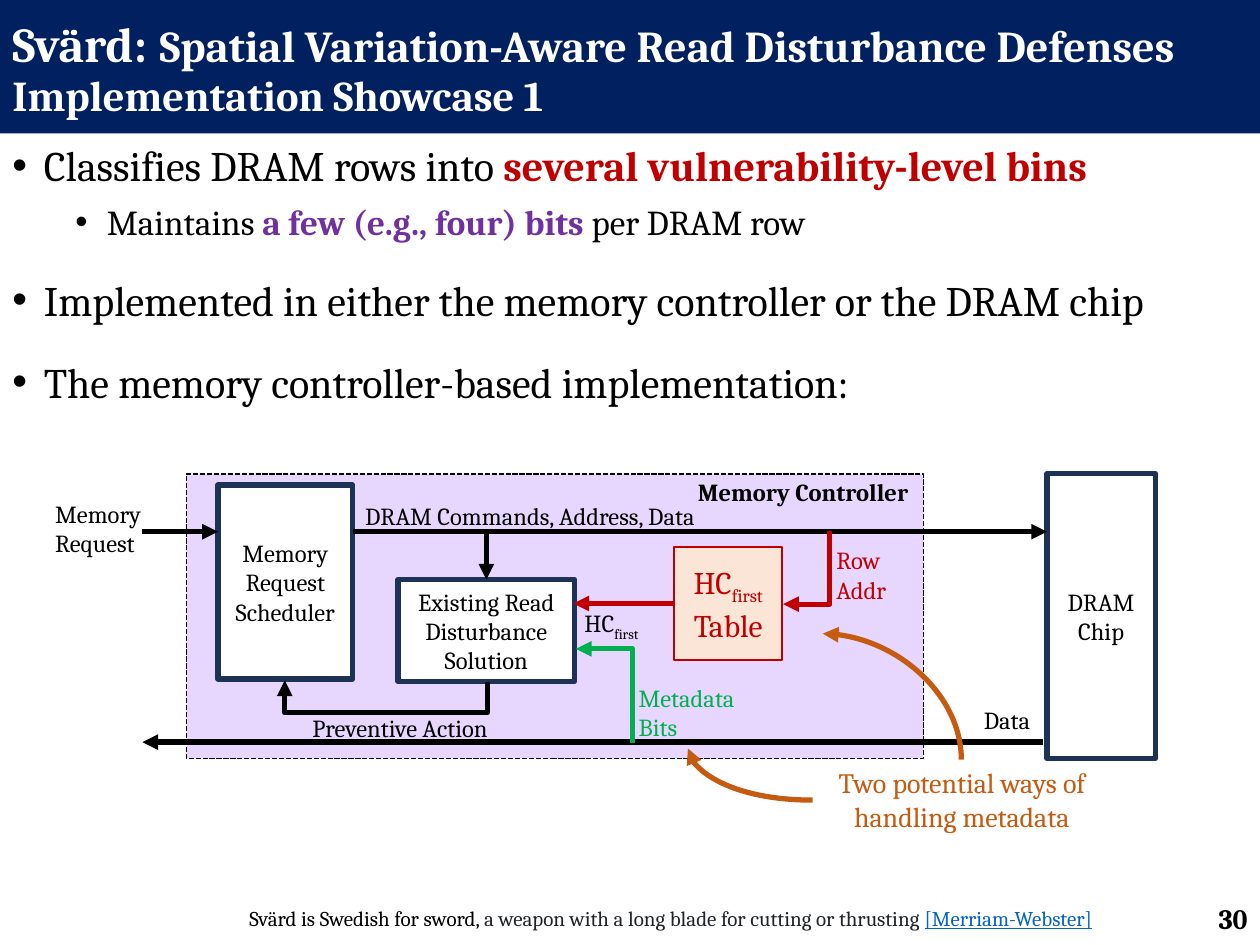
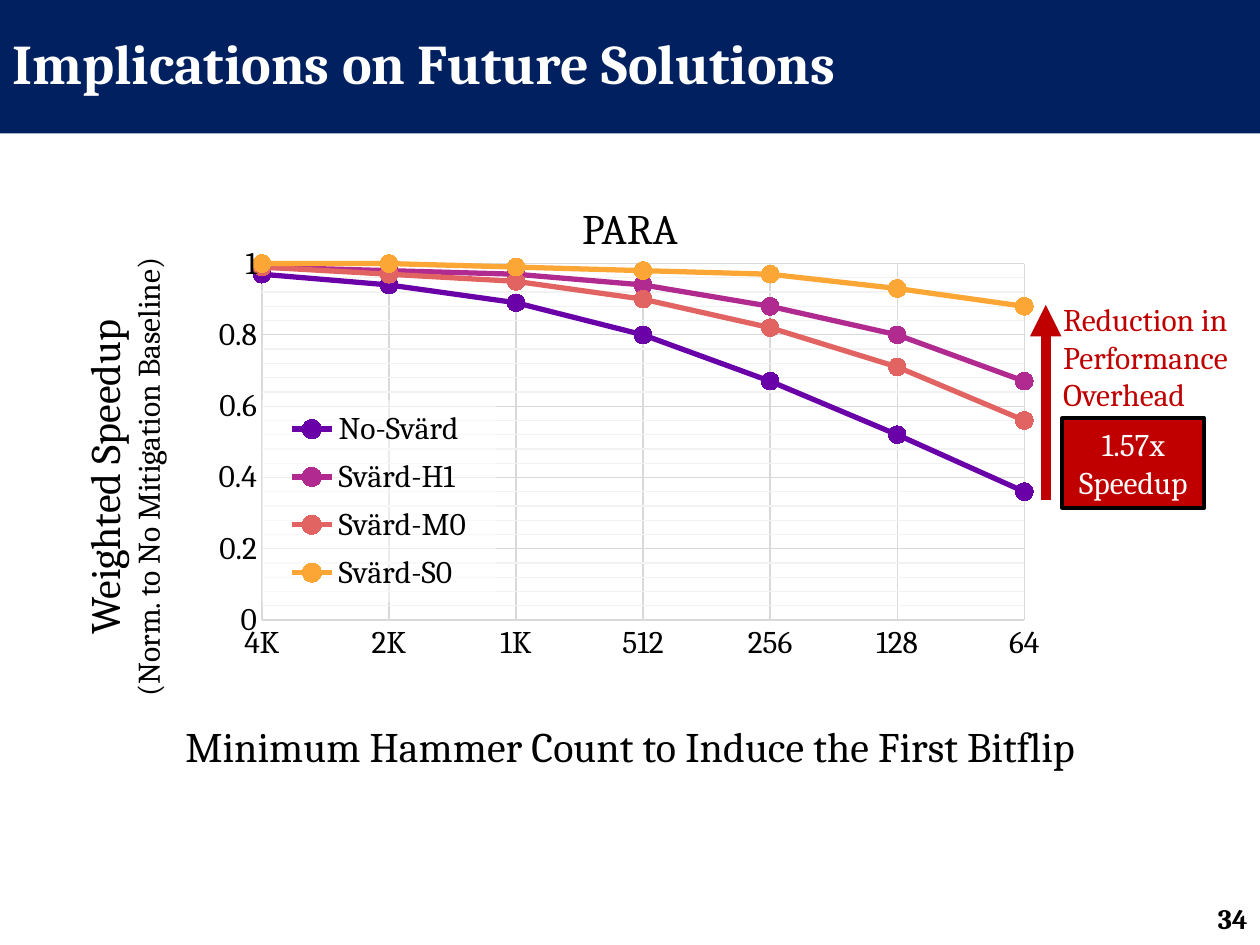
from collections import namedtuple

from lxml.etree import SubElement
from pptx import Presentation
from pptx.chart.data import CategoryChartData
from pptx.dml.color import RGBColor
from pptx.enum.chart import XL_CHART_TYPE as ChartType, XL_LEGEND_POSITION as LegendPosition
from pptx.enum.chart import XL_MARKER_STYLE as MarkerStyle, XL_TICK_MARK as TickMark
from pptx.enum.dml import MSO_LINE_DASH_STYLE as Dash
from pptx.enum.shapes import MSO_CONNECTOR as ConnectorType, MSO_SHAPE as ShapeType
from pptx.enum.text import MSO_ANCHOR as Anchor, MSO_AUTO_SIZE as AutoSize, PP_ALIGN as Align
from pptx.oxml import parse_xml
from pptx.oxml.ns import nsdecls, qn
from pptx.util import Inches, Pt

FONT = "Cambria"
BLACK = RGBColor(0x00, 0x00, 0x00)
WHITE = RGBColor(0xFF, 0xFF, 0xFF)
NAVY = RGBColor(0x00, 0x20, 0x60)
BLOCK_EDGE = RGBColor(0x1E, 0x32, 0x56)
LILAC = RGBColor(0xE7, 0xD7, 0xFF)
PEACH = RGBColor(0xFB, 0xE5, 0xD6)
RED = RGBColor(0xC0, 0x00, 0x00)
PURPLE = RGBColor(0x70, 0x30, 0xA0)
GREEN = RGBColor(0x00, 0xB0, 0x50)
ORANGE = RGBColor(0xC5, 0x5A, 0x11)
INK = RGBColor(0x21, 0x25, 0x29)
LINK = RGBColor(0x05, 0x63, 0xC1)
GRID = RGBColor(0xD9, 0xD9, 0xD9)
MINOR_GRID = RGBColor(0xF2, 0xF2, 0xF2)

Box = namedtuple("Box", "left top width height")
SUBSCRIPT = {"baseline": -25000}

CATEGORIES = ["4K", "2K", "1K", "512", "256", "128", "64"]
SERIES = [
    ("No-Svärd", RGBColor(0x6A, 0x00, 0xA8), [0.97, 0.94, 0.89, 0.8, 0.67, 0.52, 0.36]),
    ("Svärd-H1", RGBColor(0xB1, 0x2A, 0x90), [0.99, 0.98, 0.97, 0.94, 0.88, 0.8, 0.67]),
    ("Svärd-M0", RGBColor(0xE1, 0x64, 0x62), [0.99, 0.97, 0.95, 0.9, 0.82, 0.71, 0.56]),
    ("Svärd-S0", RGBColor(0xFC, 0xA6, 0x36), [1, 1, 0.99, 0.98, 0.97, 0.93, 0.88]),
]


def inside(region, left, top, width, height):
    """Return a box given relative to a region as a box on the slide."""
    return Box(region.left + left, region.top + top, width, height)


def set_font(font, size, color=BLACK, **values):
    """Apply size, colour and further values to a font."""
    for name, value in dict(values, name=FONT, size=Pt(size)).items():
        setattr(font, name, value)
    font.color.rgb = color


def write(frame, lines, size, color=BLACK, styles=(), **values):
    """Fill a text frame; a line is a string or a list of (text, format) runs."""
    for index, line in enumerate(lines):
        paragraph = frame.paragraphs[0] if index == 0 else frame.add_paragraph()
        style = dict(values, **(styles[index] if styles else {}))
        bullet_indent = style.pop("bullet_indent", None)
        if bullet_indent is not None:
            add_bullet(paragraph, bullet_indent)
        for name, value in style.items():
            setattr(paragraph, name, value)
        for text, changes in [(line, {})] if isinstance(line, str) else line:
            run = paragraph.add_run()
            run.text = text
            font = {"size": size, "color": color, **changes}
            baseline = font.pop("baseline", None)
            set_font(run.font, **font)
            if baseline:
                run.font._element.set("baseline", str(baseline))


def add_bullet(paragraph, indent):
    """Give a paragraph a black round bullet with a hanging indent."""
    properties = paragraph._p.get_or_add_pPr()
    properties.set("marL", str(Inches(indent)))
    properties.set("indent", str(-Inches(0.25)))
    color = SubElement(properties, qn("a:buClr"))
    SubElement(color, qn("a:srgbClr")).set("val", str(BLACK))
    SubElement(properties, qn("a:buFont")).set("typeface", "Arial")
    SubElement(properties, qn("a:buChar")).set("char", "•")


def add_text(slide, box, lines, size, wrap=False, anchor=Anchor.TOP, fit=True, **values):
    """Add a text box and return it."""
    shape = slide.shapes.add_textbox(*map(Inches, box))
    frame = shape.text_frame
    frame.auto_size = AutoSize.SHAPE_TO_FIT_TEXT if fit else AutoSize.NONE
    frame.word_wrap = wrap
    frame.vertical_anchor = anchor
    write(frame, lines, size, **values)
    return shape


def add_block(slide, box, fill, edge=None, edge_width=3, lines=(), size=14, **values):
    """Add a filled rectangle with an optional edge and middle-anchored text."""
    shape = slide.shapes.add_shape(ShapeType.RECTANGLE, *map(Inches, box))
    shape.shadow.inherit = False
    shape.fill.solid()
    shape.fill.fore_color.rgb = fill
    if edge is None:
        shape.line.fill.background()
    else:
        shape.line.color.rgb = edge
        shape.line.width = Pt(edge_width)
    frame = shape.text_frame
    frame.word_wrap = True
    frame.vertical_anchor = Anchor.MIDDLE
    write(frame, lines, size, **{"alignment": Align.CENTER, **values})
    return shape


def finish_arrow(connector, color, width):
    """Style a connector as an arrow without a shadow."""
    connector.line.color.rgb = color
    connector.line.width = Pt(width)
    properties = connector._element.spPr
    SubElement(properties.find(qn("a:ln")), qn("a:tailEnd")).set("type", "triangle")
    SubElement(properties, qn("a:effectLst"))


def add_arrow(slide, region, begin, end, color=BLACK, width=3):
    """Add a straight arrow between two points of a region."""
    points = [region.left + begin[0], region.top + begin[1], region.left + end[0], region.top + end[1]]
    connector = slide.shapes.add_connector(ConnectorType.STRAIGHT, *map(Inches, points))
    finish_arrow(connector, color, width)


def add_routed_arrow(slide, box, preset, rotation, flip, color, bend=None):
    """Add a bent or curved arrow in a box that is then flipped and rotated."""
    left, top, width, height = box
    corners = left, top, left + width, top + height
    connector = slide.shapes.add_connector(ConnectorType.ELBOW, *map(Inches, corners))
    properties = connector._element.spPr
    transform = properties.find(qn("a:xfrm"))
    transform.set("rot", str(rotation * 60000))
    if flip:
        transform.set(flip, "1")
    geometry = properties.find(qn("a:prstGeom"))
    geometry.set("prst", preset)
    if bend is not None:
        guide = SubElement(geometry.find(qn("a:avLst")), qn("a:gd"))
        guide.set("name", "adj1")
        guide.set("fmla", f"val {int(bend * 100000)}")
    finish_arrow(connector, color, 3)


def add_frame(presentation, title_lines, number, title_size):
    """Add a slide with the title band and the page number."""
    slide = presentation.slides.add_slide(presentation.slide_layouts[6])
    add_block(slide, Box(0, 0, 10, 1.06), NAVY, lines=title_lines, size=title_size, color=WHITE,
              alignment=Align.LEFT, line_spacing=0.9)
    add_text(slide, Box(7.75, 7.09, 2.25, 0.4), [[(number, {"bold": True})]], 16, wrap=True,
             anchor=Anchor.MIDDLE, fit=False, alignment=Align.RIGHT)
    return slide


def add_points(slide, box):
    """Add the bulleted points on how the defense is implemented."""
    point = {"bullet_indent": 0.25, "space_after": Pt(6)}
    spaced_point = {**point, "space_before": Pt(12)}
    small = {"size": 20}
    add_text(slide, box, [
        [("Classifies DRAM rows into ", {}),
         ("several vulnerability-level bins", {"color": RED, "bold": True})],
        [("Maintains ", small),
         ("a few (e.g., four) bits", {**small, "color": PURPLE, "bold": True}),
         (" per DRAM row", small)],
        "Implemented in either the memory controller or the DRAM chip",
        "The memory controller-based implementation:",
    ], 24, wrap=True, fit=False,
        styles=[point, {**point, "bullet_indent": 0.75, "level": 1}, spaced_point, spaced_point])


def add_controller_diagram(slide, region):
    """Draw the memory controller, the DRAM chip and the flows between them."""
    controller = add_block(slide, inside(region, 1.18, 0.06, 5.85, 2.26), LILAC, BLACK, 1)
    controller.line.dash_style = Dash.SQUARE_DOT
    blocks = [
        ((1.43, 0.15, 1.07, 1.54), ["Memory", "Request", "Scheduler"]),
        ((8.01, 0.06, 0.86, 2.26), ["DRAM", "Chip"]),
        ((2.86, 0.9, 1.4, 0.81), ["Existing Read", "Disturbance", "Solution"]),
    ]
    for place, lines in blocks:
        add_block(slide, inside(region, *place), WHITE, BLOCK_EDGE, lines=lines)
    add_block(slide, inside(region, 5.05, 0.64, 0.86, 0.9), PEACH, RED, 1,
              [[("HC", {}), ("first", SUBSCRIPT), (" Table", {})]], 18, color=RED)

    arrows = [
        ((2.5, 0.52), (8.01, 0.52), BLACK),
        ((7.98, 2.19), (0.83, 2.19), BLACK),
        ((0.83, 0.52), (1.43, 0.52), BLACK),
        ((3.56, 0.54), (3.56, 0.9), BLACK),
        ((5.05, 1.09), (4.25, 1.09), RED),
    ]
    for begin, end, color in arrows:
        add_arrow(slide, region, begin, end, color)
    routed_arrows = [
        ((2.76, 0.9, 0.01, 1.61), "bentConnector3", 90, "flipH", BLACK, -25),
        ((5.81, 0.62, 0.58, 0.37), "bentConnector2", 90, None, RED, None),
        ((4.12, 1.6, 0.75, 0.45), "bentConnector3", 270, "flipV", GREEN, 1),
        ((6.28, 1.28, 1, 1.1), "curvedConnector2", 270, "flipV", ORANGE, None),
        ((5.16, 2.24, 0.99, 0.41), "curvedConnector2", 180, None, ORANGE, None),
    ]
    for place, *route in routed_arrows:
        add_routed_arrow(slide, inside(region, *place), *route)

    labels = [
        ((7.41, 1.85, 0.59, 0.34), ["Data"], BLACK),
        ((0.04, 0.21, 0.9, 0.57), ["Memory", "Request"], BLACK),
        ((2.5, 0.23, 2.94, 0.34), ["DRAM Commands, Address, Data"], BLACK),
        ((5.14, 0.04, 1.93, 0.34), [[("Memory Controller", {"bold": True})]], BLACK),
        ((2.08, 1.91, 1.68, 0.34), ["Preventive Action"], BLACK),
        ((4.24, 1.08, 0.68, 0.34), [[("HC", {}), ("first", SUBSCRIPT)]], BLACK),
        ((6.24, 0.58, 0.62, 0.57), ["Row", "Addr"], RED),
        ((4.67, 1.67, 0.99, 0.57), ["Metadata", "Bits"], GREEN),
    ]
    for place, lines, color in labels:
        add_text(slide, inside(region, *place), lines, 14, color=color)
    add_text(slide, inside(region, 6.16, 2.33, 2.35, 0.64),
             ["Two potential ways of", "handling metadata"], 16, color=ORANGE, alignment=Align.CENTER)


def manual_layout(left, top, width, height, target=""):
    """Return a chart layout element with fractions of the chart area."""
    return parse_xml(
        f'<c:layout {nsdecls("c")}><c:manualLayout>{target}'
        '<c:xMode val="edge"/><c:yMode val="edge"/>'
        f'<c:x val="{left}"/><c:y val="{top}"/><c:w val="{width}"/><c:h val="{height}"/>'
        '</c:manualLayout></c:layout>')


def chart_format(content):
    """Return a chart shape-properties element with the given content."""
    return parse_xml(f'<c:spPr {nsdecls("c", "a")}>{content}</c:spPr>')


def add_speedup_chart(slide, box):
    """Add the line chart of weighted speedup per hammer count."""
    data = CategoryChartData()
    data.categories = CATEGORIES
    for name, _, values in SERIES:
        data.add_series(name, values)
    chart = slide.shapes.add_chart(ChartType.LINE_MARKERS, *map(Inches, box), data).chart
    chart.has_title = False
    set_font(chart.font, 18)
    plot = chart.plots[0]
    plot.vary_by_categories = False
    for series, (_, color, _) in zip(plot.series, SERIES):
        series.smooth = False
        series.format.line.color.rgb = color
        series.format.line.width = Pt(3)
        series.marker.style = MarkerStyle.CIRCLE
        series.marker.size = 10
        series.marker.format.fill.solid()
        series.marker.format.fill.fore_color.rgb = color
        series.marker.format.line.color.rgb = color

    category_axis, value_axis = chart.category_axis, chart.value_axis
    for name, value in {"minimum_scale": 0, "maximum_scale": 1, "major_unit": 0.2,
                        "minor_unit": 0.04, "has_minor_gridlines": True}.items():
        setattr(value_axis, name, value)
    value_axis.tick_labels.number_format = "General"
    value_axis.tick_labels.number_format_is_linked = False
    for axis in (category_axis, value_axis):
        axis.has_major_gridlines = True
        axis.major_tick_mark = axis.minor_tick_mark = TickMark.NONE
        set_font(axis.tick_labels.font, 18)
        for line in (axis.major_gridlines.format.line, axis.format.line):
            line.color.rgb = GRID
            line.width = Pt(0.75)
    value_axis.format.line.fill.background()

    chart.has_legend = True
    chart.legend.position = LegendPosition.BOTTOM
    chart.legend.include_in_layout = True
    set_font(chart.legend.font, 18)
    root = chart._chartSpace
    root.xpath(".//c:valAx/c:minorGridlines")[0].append(chart_format(
        f'<a:ln w="9525"><a:solidFill><a:srgbClr val="{MINOR_GRID}"/></a:solidFill></a:ln>'))
    for crossing in root.xpath(".//c:valAx/c:crossBetween"):
        crossing.getparent().remove(crossing)
    root.xpath(".//c:valAx/c:majorUnit")[0].addprevious(
        parse_xml(f'<c:crossBetween {nsdecls("c")} val="midCat"/>'))
    plot_area = root.xpath(".//c:plotArea")[0]
    for layout in plot_area.xpath("c:layout"):
        plot_area.remove(layout)
    plot_area.insert(0, manual_layout(0.157, 0.058, 0.82, 0.739, '<c:layoutTarget val="inner"/>'))
    overlay = root.xpath(".//c:legend/c:overlay")[0]
    for layout in root.xpath(".//c:legend/c:layout"):
        layout.getparent().remove(layout)
    overlay.addprevious(manual_layout(0.157, 0.34, 0.252, 0.42))
    overlay.addnext(chart_format(f'<a:solidFill><a:srgbClr val="{WHITE}">'
                                 '<a:alpha val="50000"/></a:srgbClr></a:solidFill>'))


def add_speedup_region(slide, region):
    """Place the chart with its titles and the speedup callout."""
    centered = {"alignment": Align.CENTER}
    axis_title = add_text(slide, inside(region, -1.86, 1.88, 3.83, 0.81), [
        "Weighted Speedup", [("(Norm. to No Mitigation Baseline)", {"size": 18})]], 24, **centered)
    axis_title.rotation = 270
    add_speedup_chart(slide, inside(region, 0, 0.37, 7.38, 3.83))
    add_text(slide, inside(region, 3.58, 0.06, 1, 0.5), ["PARA"], 24, **centered)
    add_text(slide, inside(region, 0.28, 4.17, 7.6, 0.5),
             ["Minimum Hammer Count to Induce the First Bitflip"], 24, **centered)
    add_text(slide, inside(region, 7.42, 0.83, 1.6, 1.01),
             ["Reduction in Performance Overhead"], 18, wrap=True, color=RED)
    add_block(slide, inside(region, 7.51, 1.82, 1.13, 0.71), RED, BLACK, 2.25,
              ["1.57x", "Speedup"], 18, color=WHITE).text_frame.word_wrap = False
    add_arrow(slide, region, (7.38, 2.47), (7.38, 0.92), RED, 6)


def main():
    """Build both slides and save the presentation."""
    presentation = Presentation()
    presentation.slide_width, presentation.slide_height = Inches(10), Inches(7.5)

    showcase = add_frame(presentation, [
        [("Svärd:", {"size": 27.9, "bold": True}), (" ", {"size": 32.4, "bold": True}),
         ("Spatial Variation-Aware Read Disturbance Defenses", {"bold": True})],
        [("Implementation Showcase 1", {"size": 24.3, "bold": True})]], "30", 25.2)
    add_points(showcase, Box(0, 1.06, 10, 5.84))
    add_controller_diagram(showcase, Box(0.3, 3.7, 8.9, 3))
    add_text(showcase, Box(1.88, 7.14, 7.29, 0.3), [[
        ("Svärd is Swedish for sword, ", {}),
        ("a weapon with a long blade for cutting or thrusting ", {"color": INK}),
        ("[Merriam-Webster]", {"color": LINK, "underline": True})]], 12, wrap=True)

    implications = add_frame(
        presentation, [[("Implications on Future Solutions", {"bold": True})]], "34", 32)
    add_speedup_region(implications, Box(0.92, 1.5, 9, 4.7))
    presentation.save("out.pptx")


if __name__ == "__main__":
    main()
